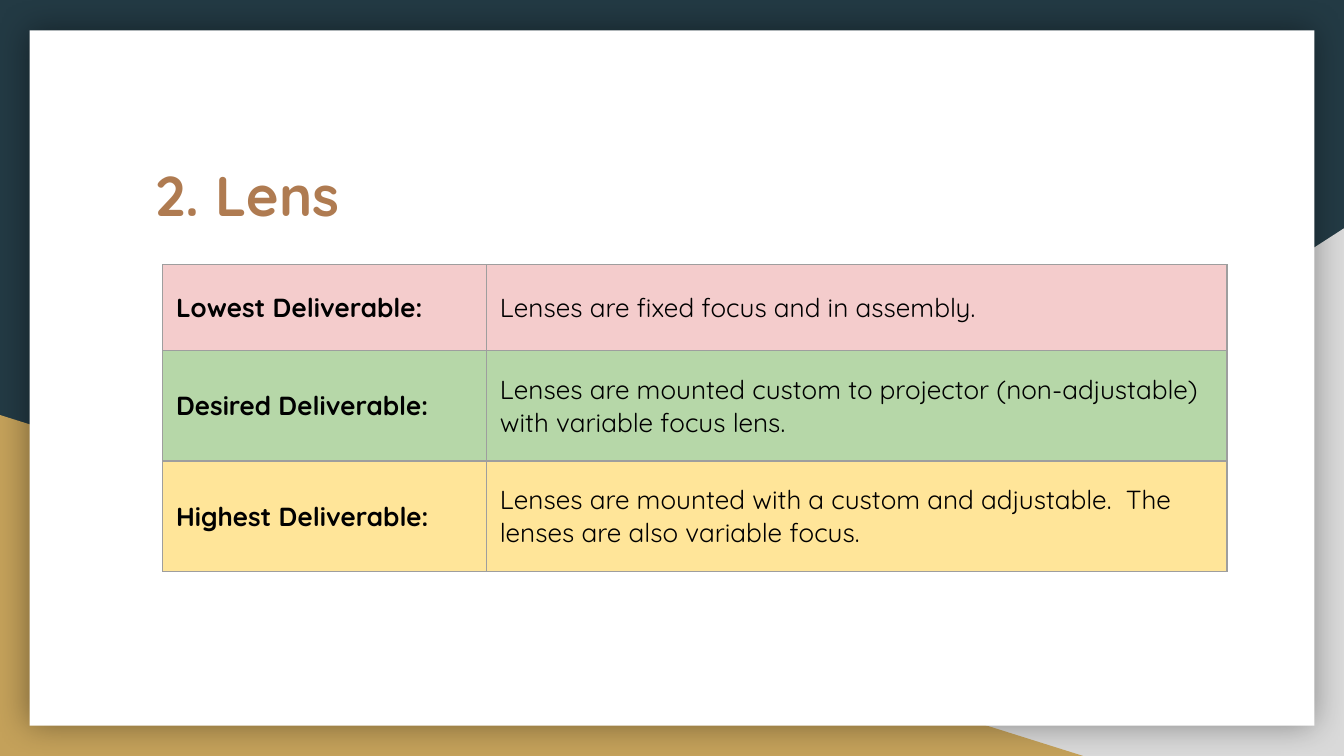
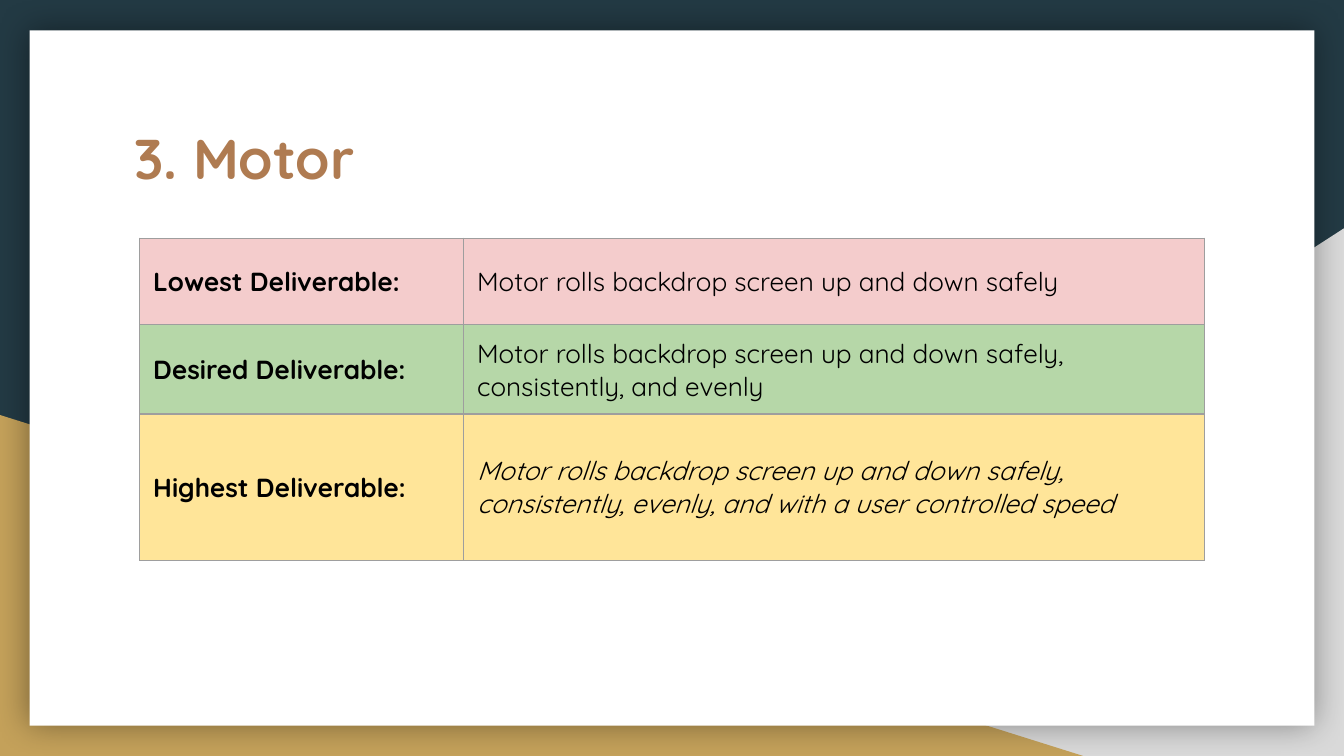
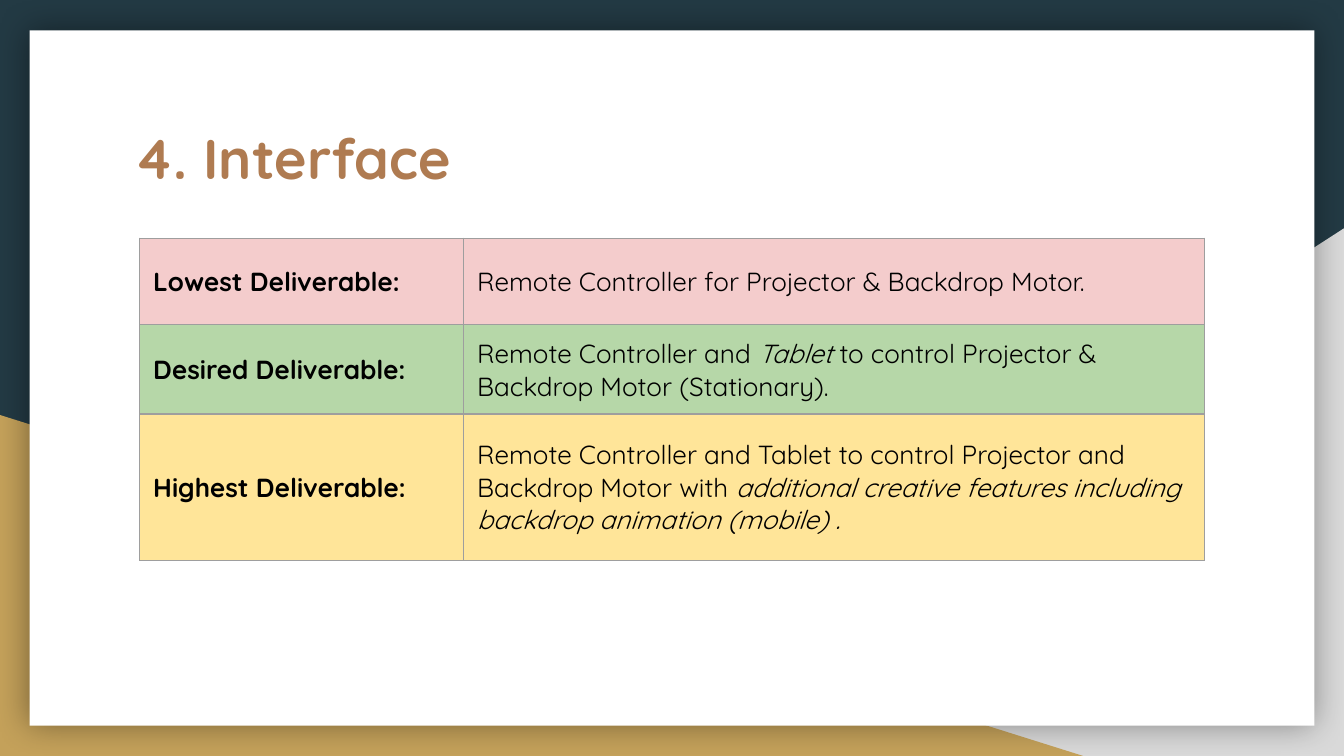
"""Build three slides that list the deliverables of a projector project."""
from lxml.etree import SubElement
from pptx import Presentation
from pptx.dml.color import RGBColor
from pptx.enum.shapes import MSO_SHAPE
from pptx.enum.text import MSO_ANCHOR
from pptx.oxml.ns import qn
from pptx.util import Inches, Pt

HUES = {
    "night": "233A44", "mist": "D9D9D9", "gold": "C4A15A", "card": "FFFFFF",
    "title": "AF7B51", "text": "000000", "edge": "9E9E9E",
    "Lowest": "F4CCCC", "Desired": "B6D7A8", "Highest": "FFE599",
}
FONT = "Quicksand"
PAD = Inches(0.1)
WIDE = Inches(10)
HIGH = WIDE * 9 // 16
COL, ROW = WIDE / 100, HIGH / 100

# Each part of a text is plain or italic by turns.
TOPICS = [
    ("2. Lens", (10.6, 19.4), (12.1, 35), (11.4, 14.6, 14.6), [
        ["Lenses are fixed focus and in assembly."],
        ["Lenses are mounted custom to projector (non-adjustable) with variable focus lens."],
        ["Lenses are mounted with a custom and adjustable.  The lenses are also variable focus."],
    ]),
    ("3. Motor", (9, 14.6), (10.4, 31.5), (11.4, 11.4, 19.4), [
        ["Motor rolls backdrop screen up and down safely"],
        ["Motor rolls backdrop screen up and down safely, consistently, and evenly"],
        ["", "Motor rolls backdrop screen up and down safely, consistently, evenly, "
             "and with a user controlled speed"],
    ]),
    ("4. Interface", (9, 14.6), (10.4, 31.5), (11.4, 11.4, 19.4), [
        ["Remote Controller for Projector & Backdrop Motor."],
        ["Remote Controller and ", "Tablet", " to control Projector & Backdrop Motor (Stationary)."],
        ["Remote Controller and Tablet to control Projector and Backdrop Motor with ",
         "additional creative features including backdrop animation (mobile) ."],
    ]),
]
SHAPES = [
    (MSO_SHAPE.RIGHT_TRIANGLE, "mist", (39.2, 30.2, 60.8, 69.8)),
    (MSO_SHAPE.RIGHT_TRIANGLE, "gold", (0, 54.9, 80.6, 45.1)),
    (MSO_SHAPE.RECTANGLE, "card", (2.2, 4, 95.6, 92)),
]


def place(x, y, w, h):
    """Turn percent of the slide into lengths."""
    return int(x * COL), int(y * ROW), int(w * COL), int(h * ROW)


def write(para, parts, size, hue, bold):
    """Add the parts as runs, every second one italic."""
    for turn, part in enumerate(parts):
        if part:
            run = para.add_run()
            run.text = part
            font = run.font
            font.name, font.size, font.bold = FONT, Pt(size), bold
            font.italic = turn % 2 == 1
            font.color.rgb = RGBColor.from_string(HUES[hue])


deck = Presentation()
deck.slide_width, deck.slide_height = WIDE, HIGH

for title, spot, start, rows, texts in TOPICS:
    slide = deck.slides.add_slide(deck.slide_layouts[6])
    back = slide.background.fill
    back.solid()
    back.fore_color.rgb = RGBColor.from_string(HUES["night"])

    for kind, hue, area in SHAPES:
        shape = slide.shapes.add_shape(kind, *place(*area))
        shape.fill.solid()
        shape.fill.fore_color.rgb = RGBColor.from_string(HUES[hue])
        shape.line.fill.background()
        shape.shadow.inherit = False
        props = shape._element.spPr
        if hue == "mist":
            props.find(qn("a:xfrm")).set("flipH", "1")
        if hue == "card":
            glow = SubElement(props.find(qn("a:effectLst")), qn("a:outerShdw"),
                              blurRad=str(Pt(18)), dist="0", dir="0",
                              algn="ctr", rotWithShape="0")
            tint = SubElement(glow, qn("a:srgbClr"), val=HUES["text"])
            SubElement(tint, qn("a:alpha"), val="40000")

    frame = slide.shapes.add_textbox(*place(*spot, 82.1, 18.5)).text_frame
    frame.word_wrap = True
    frame.margin_left = frame.margin_right = frame.margin_top = frame.margin_bottom = PAD
    write(frame.paragraphs[0], [title], 30, "title", True)

    table = slide.shapes.add_table(3, 2, *place(*start, 79.2, sum(rows))).table
    table.first_row = table.horz_banding = False
    for col, width in zip(table.columns, (24.1, 55.1)):
        col.width = int(width * COL)
    for row, high, level, parts in zip(table.rows, rows, ("Lowest", "Desired", "Highest"), texts):
        row.height = int(high * ROW)
        label = [f"{level} Deliverable:"]
        for cell, words, bold in zip(row.cells, (label, parts), (True, False)):
            cell.margin_left = cell.margin_right = cell.margin_top = cell.margin_bottom = PAD
            cell.vertical_anchor = MSO_ANCHOR.MIDDLE
            for side in ("lnL", "lnR", "lnT", "lnB"):
                edge = SubElement(cell._tc.get_or_add_tcPr(), qn(f"a:{side}"), w=str(Pt(0.75)))
                ink = SubElement(edge, qn("a:solidFill"))
                SubElement(ink, qn("a:srgbClr"), val=HUES["edge"])
            cell.fill.solid()
            cell.fill.fore_color.rgb = RGBColor.from_string(HUES[level])
            write(cell.text_frame.paragraphs[0], words, 14, "text", bold)

deck.save("out.pptx")
